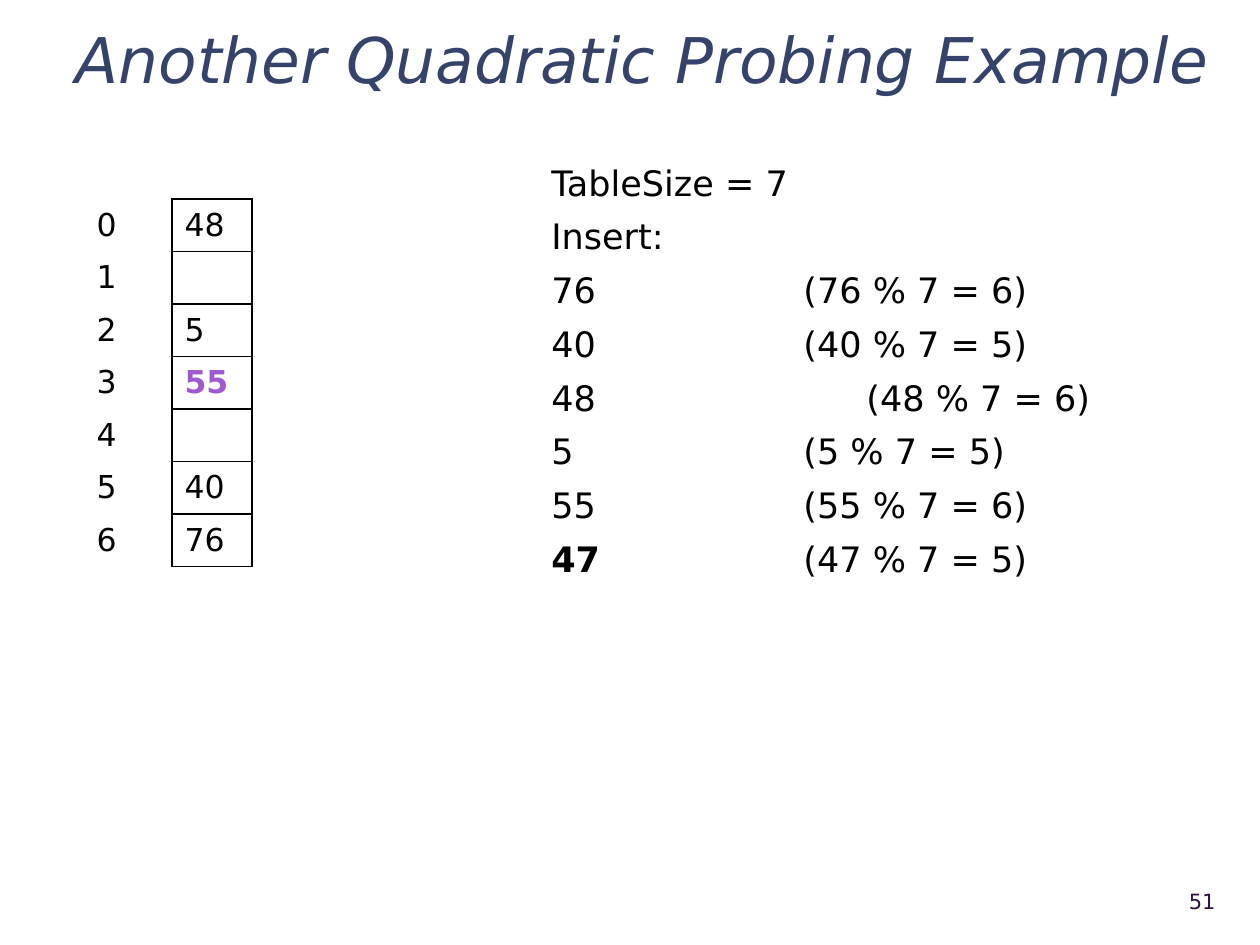
from lxml import etree
from pptx import Presentation
from pptx.dml.color import RGBColor
from pptx.enum.text import MSO_ANCHOR, MSO_AUTO_SIZE, PP_ALIGN
from pptx.oxml.ns import qn
from pptx.util import Emu, Pt

LEFT, RIGHT = PP_ALIGN.LEFT, PP_ALIGN.RIGHT
TOP, MIDDLE = MSO_ANCHOR.TOP, MSO_ANCHOR.MIDDLE
NO_FIT = MSO_AUTO_SIZE.NONE
BLACK = RGBColor(0x00, 0x00, 0x00)
NAVY = RGBColor(0x35, 0x43, 0x6A)
PLUM = RGBColor(0x2F, 0x13, 0x43)
VIOLET = RGBColor(0x9F, 0x5A, 0xD0)
FONT = "DejaVu Sans"

SLOTS = ["48", "", "5", "55", "", "40", "76"]
NEW_SLOT = 3
SIZE = len(SLOTS)
KEYS = [76, 40, 48, 5, 55, 47]
WIDE_KEY, LAST_KEY = 48, 47


def px(num):
    """Turn pixels into EMU."""
    return Emu(round(num * 914400 / 126))


def write(para, text, size=18, color=BLACK, bold=False, italic=False,
          align=LEFT, before=0, line=None):
    """Add a run of text to a paragraph and format both."""
    para.alignment = align
    para.space_before = Pt(before)
    para.line_spacing = line
    run = para.add_run()
    run.text = text
    font = run.font
    font.name, font.size = FONT, Pt(size)
    font.bold, font.italic = bold, italic
    font.color.rgb = color


class Page:
    """Hold the current slide and place elements on it."""

    def __init__(self, deck):
        """Add a title-only slide."""
        self.slide = deck.slides.add_slide(deck.slide_layouts[5])

    def title(self, text, box):
        """Place and format the title."""
        shape = self.slide.shapes.title
        shape.left, shape.top, shape.width, shape.height = map(px, box)
        frame = shape.text_frame
        frame.auto_size, frame.vertical_anchor = NO_FIT, MIDDLE
        write(frame.paragraphs[0], text, size=36, color=NAVY, italic=True, line=1.1)

    def frame(self, box, anchor=TOP):
        """Add a wrapping text box and return its frame."""
        frame = self.slide.shapes.add_textbox(*map(px, box)).text_frame
        frame.word_wrap, frame.vertical_anchor = True, anchor
        return frame

    def number(self, text, box):
        """Add the slide number."""
        para = self.frame(box, MIDDLE).paragraphs[0]
        write(para, text, size=12, color=PLUM, align=RIGHT)

    def steps(self, box):
        """List the keys to insert, each with its hash."""
        frame = self.frame(box)
        style = dict(size=20, before=6.7)
        write(frame.paragraphs[0], f"TableSize = {SIZE}", size=20)
        write(frame.add_paragraph(), "Insert:", **style)
        for key in KEYS:
            para = frame.add_paragraph()
            self.tab(para, 315 if key == WIDE_KEY else 252)
            write(para, str(key), bold=key == LAST_KEY, **style)
            write(para, f"\t({key} % {SIZE} = {key % SIZE})", **style)

    def tab(self, para, pos):
        """Set one tab stop on a paragraph."""
        tabs = etree.SubElement(para._p.get_or_add_pPr(), qn("a:tabLst"))
        etree.SubElement(tabs, qn("a:tab"), pos=str(px(pos)), algn="l")

    def border(self, cell, sides):
        """Draw thin black lines on the given sides of a cell."""
        props = cell._tc.get_or_add_tcPr()
        for spot, side in enumerate(sides):
            line = etree.Element(qn(f"a:ln{side}"), w=str(Pt(1)))
            fill = etree.SubElement(line, qn("a:solidFill"))
            etree.SubElement(fill, qn("a:srgbClr"), val=str(BLACK))
            props.insert(spot, line)

    def table(self, box, widths):
        """Add the hash table with an index column."""
        table = self.slide.shapes.add_table(SIZE, 2, *map(px, box)).table
        table.first_row = table.horz_banding = False
        for col, width in zip(table.columns, widths):
            col.width = px(width)
        for row, slot in enumerate(SLOTS):
            hue = VIOLET if row == NEW_SLOT else BLACK
            for col, (text, sides) in enumerate([(str(row), "R"), (slot, "LRTB")]):
                cell = table.cell(row, col)
                cell.fill.background()
                cell.vertical_anchor = MIDDLE
                self.border(cell, sides)
                if text:
                    write(cell.text_frame.paragraphs[0], text,
                          color=hue if col else BLACK,
                          bold=bool(col) and row == NEW_SLOT)


def main():
    """Build the slide and save it."""
    deck = Presentation()
    deck.slide_width, deck.slide_height = px(1260), px(945)
    page = Page(deck)
    page.title("Another Quadratic Probing Example", (63, 21, 1166, 67))
    page.number("51", (1120, 876, 108, 50))
    page.table((84, 199, 168, 368), (88, 80))
    page.steps((539, 155, 607, 585))
    deck.save("out.pptx")


if __name__ == "__main__":
    main()
